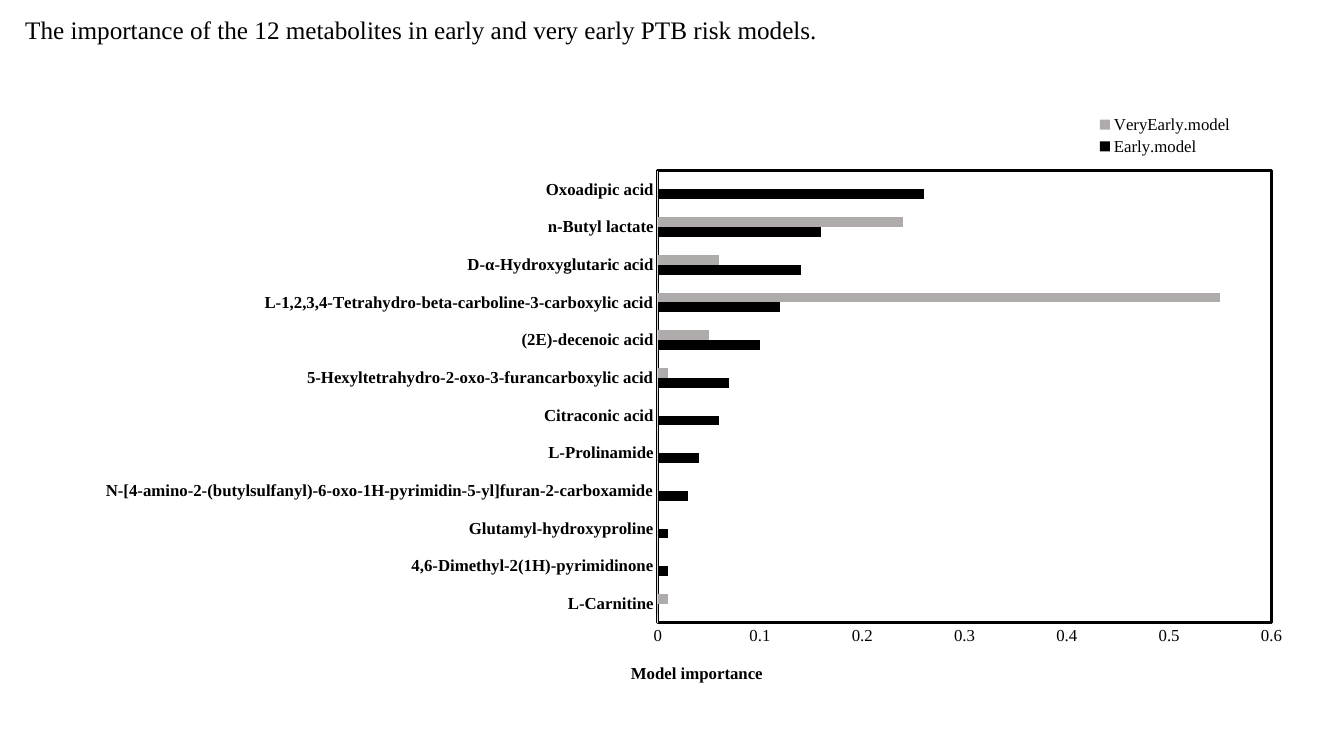
import pptx
import pptx.util
import pptx.oxml
import pptx.oxml.ns
import pptx.chart.data
import pptx.dml.color
import pptx.enum.chart
import pptx.enum.text
from pptx.util import Inches, Pt

FONT = "Times New Roman"
COLORS = {"ink": "000000", "very_early": "AFABAB", "axis": "D9D9D9"}
MODELS = [("Early.model", "ink"), ("VeryEarly.model", "very_early")]
# Metabolite, importance in the early model, importance in the very early model
METABOLITES = [
    ("L-Carnitine", 0, 0.01),
    ("4,6-Dimethyl-2(1H)-pyrimidinone", 0.01, 0),
    ("Glutamyl-hydroxyproline", 0.01, 0),
    ("N-[4-amino-2-(butylsulfanyl)-6-oxo-1H-pyrimidin-5-yl]furan-2-carboxamide", 0.03, 0),
    ("L-Prolinamide", 0.04, 0),
    ("Citraconic acid", 0.06, 0),
    ("5-Hexyltetrahydro-2-oxo-3-furancarboxylic acid", 0.07, 0.01),
    ("(2E)-decenoic acid", 0.1, 0.05),
    ("L-1,2,3,4-Tetrahydro-beta-carboline-3-carboxylic acid", 0.12, 0.55),
    ("D-α-Hydroxyglutaric acid", 0.14, 0.06),
    ("n-Butyl lactate", 0.16, 0.24),
    ("Oxoadipic acid", 0.26, 0),
]


def rgb(name):
    return pptx.dml.color.RGBColor.from_string(COLORS[name])


def set_font(font, size, bold=False):
    font.name, font.size, font.bold = FONT, Pt(size), bold
    font.color.rgb = rgb("ink")


def place(element, position, x, y, w=None, h=None, inner=False):
    """Give a chart part a manual layout in fractions of the chart."""
    for old in element.findall(pptx.oxml.ns.qn("c:layout")):
        element.remove(old)
    settings = [("layoutTarget", "inner")] if inner else []
    settings += [("xMode", "edge"), ("yMode", "edge"), ("x", x), ("y", y)]
    if w is not None:
        settings += [("w", w), ("h", h)]
    tags = "".join(f'<c:{tag} val="{value}"/>' for tag, value in settings)
    element.insert(position, pptx.oxml.parse_xml(
        f'<c:layout {pptx.oxml.ns.nsdecls("c")}>'
        f'<c:manualLayout>{tags}</c:manualLayout></c:layout>'))


def add_heading(slide, text):
    heading = slide.shapes.title
    heading.left, heading.top = Inches(0.15), Inches(0.09)
    heading.width, heading.height = Inches(8.61), Inches(0.71)
    frame = heading.text_frame
    frame.text = text
    frame.word_wrap = True
    frame.auto_size = pptx.enum.text.MSO_AUTO_SIZE.NONE
    frame.vertical_anchor = pptx.enum.text.MSO_ANCHOR.TOP
    paragraph = frame.paragraphs[0]
    paragraph.alignment = pptx.enum.text.PP_ALIGN.LEFT
    set_font(paragraph.font, 18)


def format_axes(chart):
    ticks = pptx.enum.chart.XL_TICK_MARK
    for axis in (chart.category_axis, chart.value_axis):
        axis.has_major_gridlines = False
        axis.major_tick_mark = axis.minor_tick_mark = ticks.NONE
        set_font(axis.tick_labels.font, 12, bold=axis is chart.category_axis)

    metabolite_axis = chart.category_axis
    set_font(metabolite_axis.tick_labels.font, 12, bold=True)
    metabolite_axis.format.line.color.rgb = rgb("axis")
    metabolite_axis.format.line.width = Pt(0.75)

    importance_axis = chart.value_axis
    importance_axis.minimum_scale, importance_axis.maximum_scale = 0, 0.6
    importance_axis.major_unit = 0.1
    importance_axis.format.line.fill.background()
    axis_title = importance_axis.axis_title
    axis_title.text_frame.text = "Model importance"
    set_font(axis_title.text_frame.paragraphs[0].font, 12, bold=True)
    place(axis_title._element, 1, 0.466, 0.94)


def frame_plot(chart):
    plot_area = chart._chartSpace.chart.plotArea
    place(plot_area, 0, 0.489, 0.119, 0.473, 0.759, inner=True)
    plot_area.append(pptx.oxml.parse_xml(
        f'<c:spPr {pptx.oxml.ns.nsdecls("c", "a")}><a:noFill/>'
        f'<a:ln w="{Pt(2.25)}"><a:solidFill><a:srgbClr val="{COLORS["ink"]}"/>'
        '</a:solidFill></a:ln></c:spPr>'))


def add_importance_chart(slide):
    names, *importances = zip(*METABOLITES)
    data = pptx.chart.data.CategoryChartData()
    data.categories = names
    for (model, _), values in zip(MODELS, importances):
        data.add_series(model, values)
    chart = slide.shapes.add_chart(
        pptx.enum.chart.XL_CHART_TYPE.BAR_CLUSTERED,
        Inches(0.23), Inches(0.99), Inches(12.87), Inches(5.91), data).chart
    set_font(chart.font, 12)
    chart.has_title = False

    # Bars
    bars = chart.plots[0]
    bars.gap_width, bars.overlap, bars.vary_by_categories = 182, 0, False
    for series, (_, color) in zip(bars.series, MODELS):
        series.format.fill.solid()
        series.format.fill.fore_color.rgb = rgb(color)
        series.invert_if_negative = False

    format_axes(chart)
    frame_plot(chart)

    # Legend above the right end of the plot
    chart.has_legend = True
    chart.legend.position = pptx.enum.chart.XL_LEGEND_POSITION.RIGHT
    chart.legend.include_in_layout = False
    set_font(chart.legend.font, 12)
    place(chart.legend._element, 1, 0.82, 0.02, 0.12, 0.08)


def main():
    deck = pptx.Presentation()
    deck.slide_width, deck.slide_height = Inches(13.33), Inches(7.5)
    slide = deck.slides.add_slide(deck.slide_layouts[5])
    add_heading(slide, "The importance of the 12 metabolites in early and "
                       "very early PTB risk models.")
    add_importance_chart(slide)
    deck.save("out.pptx")


if __name__ == "__main__":
    main()
